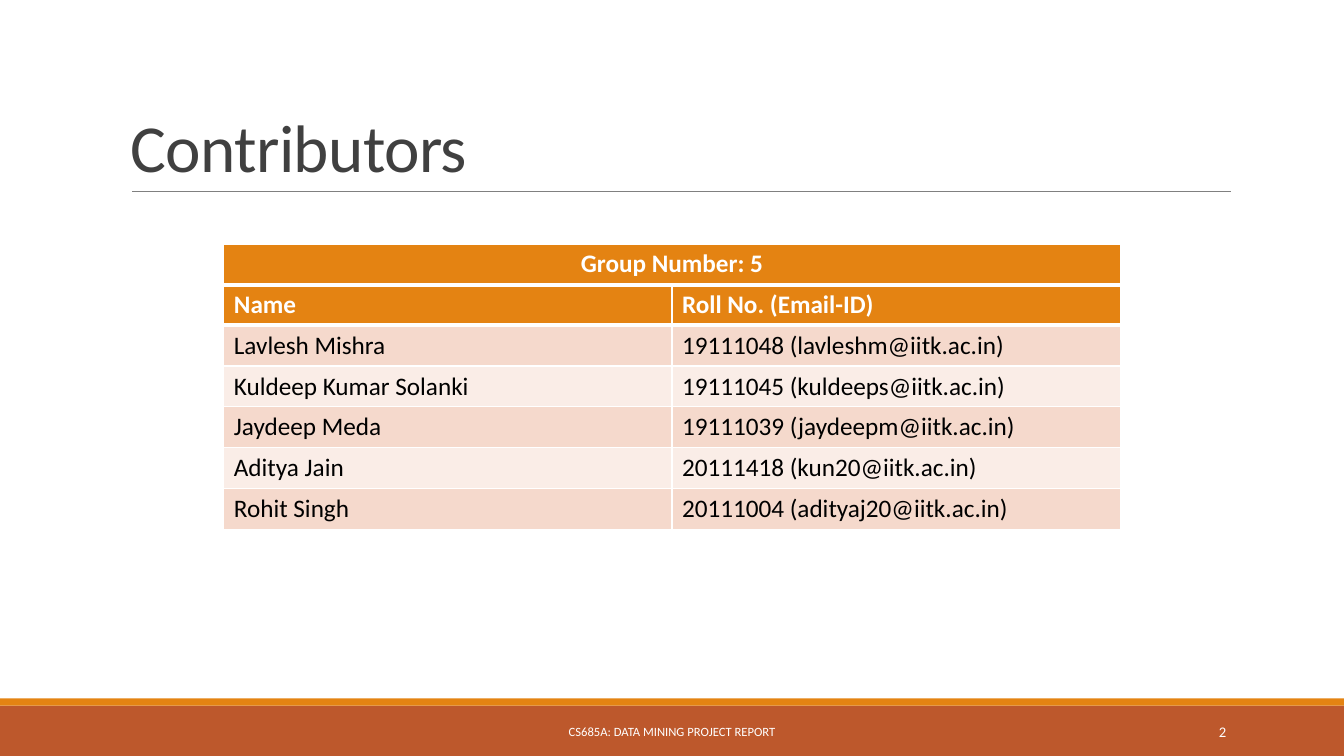
from dataclasses import dataclass

from lxml.etree import SubElement
from pptx import Presentation
from pptx.dml.color import RGBColor
from pptx.enum.shapes import MSO_CONNECTOR, MSO_SHAPE
from pptx.enum.text import MSO_ANCHOR, PP_ALIGN
from pptx.oxml import parse_xml
from pptx.oxml.ns import nsdecls, qn
from pptx.slide import Slide
from pptx.table import _Cell
from pptx.text.text import TextFrame
from pptx.util import Inches, Pt

WHITE = RGBColor(0xFF, 0xFF, 0xFF)
BLACK = RGBColor(0x00, 0x00, 0x00)
CHARCOAL = RGBColor(0x40, 0x40, 0x40)
GRAY = RGBColor(0x80, 0x80, 0x80)
ORANGE = RGBColor(0xE4, 0x83, 0x12)
RUST = RGBColor(0xBD, 0x58, 0x2C)
BAND_COLORS = (RGBColor(0xF5, 0xD9, 0xCC), RGBColor(0xFA, 0xED, 0xE7))

HEADER_FORMAT = {"size": Pt(18), "bold": True}
BODY_FORMAT = {"size": Pt(18), "bold": False}


@dataclass
class Band:
    top: float
    height: float
    color: RGBColor


@dataclass
class Label:
    text: str
    left: float
    top: float
    width: float
    height: float
    format: dict
    color: RGBColor
    align: PP_ALIGN
    anchor: MSO_ANCHOR
    line_spacing: float = 1.0
    letter_spacing: int = 0


@dataclass
class Grid:
    top: float
    height: float
    rows: list[tuple[str, ...]]
    header_align: PP_ALIGN


BANDS = [Band(7, 0.5, RUST), Band(6.93, 0.07, ORANGE)]

LABELS = [
    Label("Contributors", 1.2, 0.31, 11, 1.59, {"size": Pt(48)}, CHARCOAL,
          PP_ALIGN.LEFT, MSO_ANCHOR.BOTTOM, 0.85, -50),
    Label("CS685A: DATA MINING PROJECT REPORT", 4.03, 7.06, 5.27, 0.4,
          {"size": Pt(9)}, WHITE, PP_ALIGN.CENTER, MSO_ANCHOR.MIDDLE),
    Label("2", 10.83, 7.06, 1.43, 0.4, {"size": Pt(10.5)}, WHITE,
          PP_ALIGN.RIGHT, MSO_ANCHOR.MIDDLE),
]

GRIDS = [
    Grid(2.82, 2.43, [
        ("Name", "Roll No. (Email-ID)"),
        ("Lavlesh Mishra", "19111048 (lavleshm@iitk.ac.in)"),
        ("Kuldeep Kumar Solanki", "19111045 (kuldeeps@iitk.ac.in)"),
        ("Jaydeep Meda", "19111039 (jaydeepm@iitk.ac.in)"),
        ("Aditya Jain", "20111418 (kun20@iitk.ac.in)"),
        ("Rohit Singh", "20111004 (adityaj20@iitk.ac.in)"),
    ], PP_ALIGN.LEFT),
    Grid(2.42, 0.41, [("Group Number: 5",)], PP_ALIGN.CENTER),
]


def write_text(frame: TextFrame, text: str, values: dict, color: RGBColor,
               align: PP_ALIGN, letter_spacing: int = 0) -> None:
    """Write one formatted paragraph into a text frame."""
    para = frame.paragraphs[0]
    para.alignment = align
    span = para.add_run()
    span.text = text
    for name, value in {"name": "Calibri", **values}.items():
        setattr(span.font, name, value)
    span.font.color.rgb = color
    if letter_spacing:
        span.font._element.set("spc", str(letter_spacing))


def add_band(page: Slide, band: Band) -> None:
    """Draw a full-width footer band."""
    box = page.shapes.add_shape(MSO_SHAPE.RECTANGLE, 0, Inches(band.top),
                                Inches(13.33), Inches(band.height))
    box.shadow.inherit = False
    box.fill.solid()
    box.fill.fore_color.rgb = band.color
    box.line.fill.background()


def add_title_rule(page: Slide) -> None:
    """Draw the thin line under the title."""
    rule = page.shapes.add_connector(MSO_CONNECTOR.STRAIGHT, Inches(1.31),
                                     Inches(1.9), Inches(12.21), Inches(1.9))
    rule.line.color.rgb = GRAY
    rule.line.width = Pt(0.5)
    SubElement(rule._element.spPr, qn("a:effectLst"))


def add_label(page: Slide, label: Label) -> None:
    """Draw a text box."""
    box = page.shapes.add_textbox(Inches(label.left), Inches(label.top),
                                  Inches(label.width), Inches(label.height))
    frame = box.text_frame
    frame.word_wrap = True
    frame.vertical_anchor = label.anchor
    write_text(frame, label.text, label.format, label.color, label.align,
               label.letter_spacing)
    frame.paragraphs[0].line_spacing = label.line_spacing


def set_borders(cell: _Cell, top: int, bottom: int) -> None:
    """Give a cell white borders with the widths in points."""
    properties = cell._tc.get_or_add_tcPr()
    widths = {"lnL": 1, "lnR": 1, "lnT": top, "lnB": bottom}
    for index, (tag, width) in enumerate(widths.items()):
        properties.insert(index, parse_xml(
            f'<a:{tag} {nsdecls("a")} w="{Pt(width)}"><a:solidFill>'
            f'<a:srgbClr val="{WHITE}"/></a:solidFill></a:{tag}>'))


def add_grid(page: Slide, grid: Grid) -> None:
    """Draw a table with an orange header row and banded body rows."""
    table = page.shapes.add_table(
        len(grid.rows), len(grid.rows[0]), Inches(2.22), Inches(grid.top),
        Inches(8.89), Inches(grid.height)).table
    for row, texts in enumerate(grid.rows):
        header = row == 0
        for column, text in enumerate(texts):
            cell = table.cell(row, column)
            cell.fill.solid()
            cell.fill.fore_color.rgb = ORANGE if header else BAND_COLORS[(row - 1) % 2]
            set_borders(cell, 3 if row == 1 else 1, 3 if header else 1)
            write_text(cell.text_frame, text,
                       HEADER_FORMAT if header else BODY_FORMAT,
                       WHITE if header else BLACK,
                       grid.header_align if header else PP_ALIGN.LEFT)


def main() -> None:
    """Build the contributors slide."""
    deck = Presentation()
    deck.slide_width, deck.slide_height = Inches(13.33), Inches(7.5)
    page = deck.slides.add_slide(deck.slide_layouts[6])
    for band in BANDS:
        add_band(page, band)
    add_title_rule(page)
    for grid in GRIDS:
        add_grid(page, grid)
    for label in LABELS:
        add_label(page, label)
    deck.save("out.pptx")


if __name__ == "__main__":
    main()
